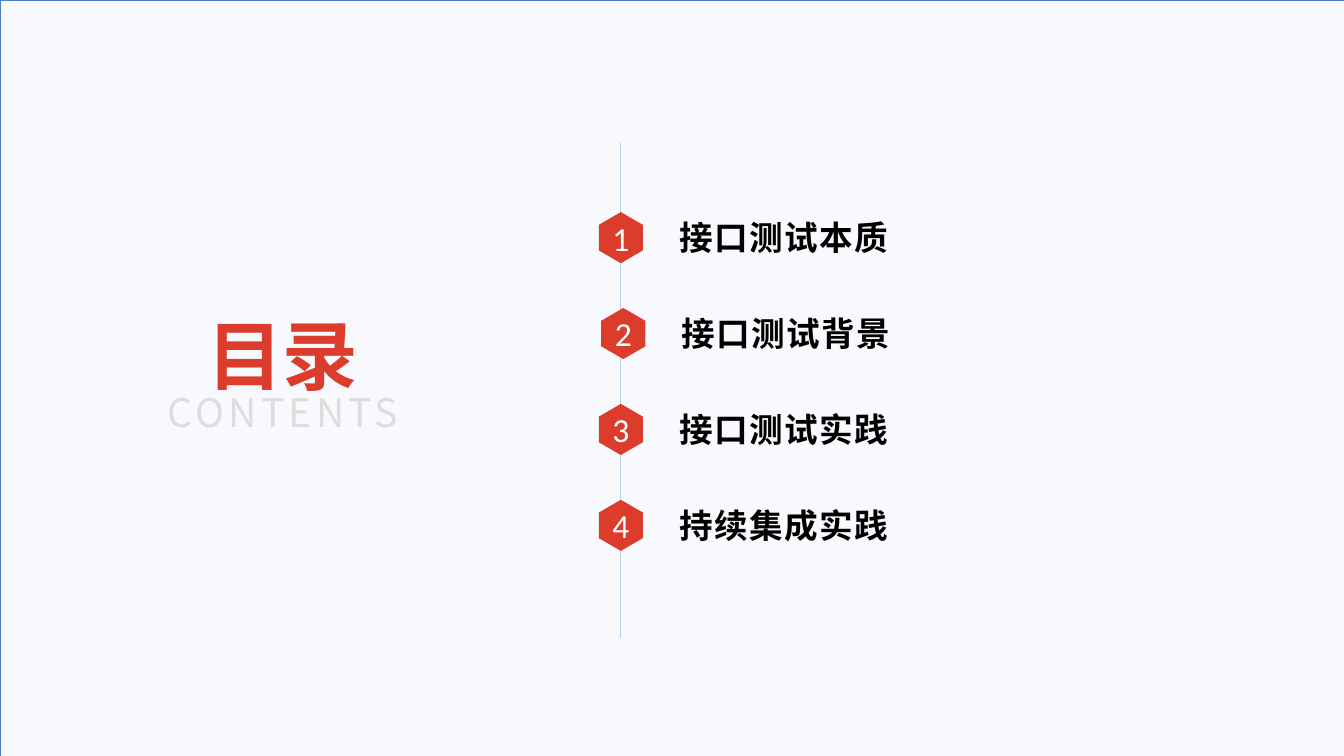
import pptx
import pptx.util
from lxml import etree
from pptx.dml.color import RGBColor
from pptx.enum.shapes import MSO_CONNECTOR, MSO_SHAPE
from pptx.enum.text import MSO_ANCHOR, MSO_AUTO_SIZE, PP_ALIGN
from pptx.oxml.ns import qn

Pt = pptx.util.Pt
WIDTH, HEIGHT = 1920, 1080
HAN = "Noto Sans CJK SC"
COLORS = {
    "paper": "F7F9FD", "edge": "4B7EBC", "rail": "B9CDE5", "red": "DC3C2B",
    "gray": "DDDDDD", "black": "000000", "white": "FFFFFF",
}
TOPICS = ["接口测试本质", "接口测试背景", "接口测试实践", "持续集成实践"]


def color(name):
    return RGBColor.from_string(COLORS[name])


def place(shape, left, top, width, height):
    shape.left, shape.top = Pt(left), Pt(top)
    shape.width, shape.height = Pt(width), Pt(height)


def write(shape, text, size, face, ink, bold=False, gap=0,
          align=PP_ALIGN.CENTER, wrap=False, inset=(0, 0, 0, 0)):
    """Fill a shape with one paragraph; gap is the letter spacing in points."""
    frame = shape.text_frame
    frame.auto_size = MSO_AUTO_SIZE.NONE
    frame.word_wrap = wrap
    frame.vertical_anchor = MSO_ANCHOR.MIDDLE
    (frame.margin_left, frame.margin_top,
     frame.margin_right, frame.margin_bottom) = map(Pt, inset)
    para = frame.paragraphs[0]
    para.text = text
    para.alignment = align
    font = para.font
    font.size, font.name, font.bold = Pt(size), face, bold
    font.color.rgb = color(ink)
    props = para._p.get_or_add_pPr().get_or_add_defRPr()
    props.set("spc", str(gap * 100))
    east = etree.Element(qn("a:ea"), typeface=HAN)
    props.find(qn("a:latin")).addnext(east)


def backdrop(slide):
    """Add the tinted, outlined page behind everything else."""
    page = slide.shapes.add_shape(
        MSO_SHAPE.RECTANGLE, 0, 0, Pt(WIDTH), Pt(HEIGHT))
    page.shadow.inherit = False
    page.fill.solid()
    page.fill.fore_color.rgb = color("paper")
    page.line.color.rgb = color("edge")
    page.line.width = Pt(0.75)
    slide.shapes._spTree.insert(2, page._element)


def heading(slide, left, top, width, height):
    title = slide.shapes.title
    place(title, left, top, width, height)
    write(title, "目录", 108, HAN, "red", bold=True)
    label = slide.shapes.add_textbox(0, 0, 0, 0)
    place(label, left, top + 83, width, height)
    write(label, "CONTENTS", 56, HAN, "gray", gap=6)


def rail(slide, left, top, height):
    line = slide.shapes.add_connector(
        MSO_CONNECTOR.STRAIGHT, Pt(left), Pt(top), Pt(left), Pt(top + height))
    line.line.color.rgb = color("rail")
    line.line.width = Pt(2)
    etree.SubElement(line._element.spPr, qn("a:effectLst"))


def badge(slide, left, top, width, height, text):
    """Draw a numbered hexagon standing on its point."""
    mid, right = left + width / 2, left + width
    high, low = top + height / 4, top + height * 3 / 4
    pen = slide.shapes.build_freeform(Pt(mid), Pt(top))
    pen.add_line_segments([
        (Pt(x), Pt(y)) for x, y in [
            (right, high), (right, low), (mid, top + height),
            (left, low), (left, high)]])
    shape = pen.convert_to_shape()
    shape.shadow.inherit = False
    shape.fill.solid()
    shape.fill.fore_color.rgb = color("red")
    shape.line.fill.background()
    write(shape, text, 48, "Calibri", "white")


def entry(slide, left, top, number, topic):
    badge(slide, left, top, 63, 73, str(number))
    box = slide.shapes.add_textbox(0, 0, 0, 0)
    place(box, left + 87, top - 7, 734, 85)
    write(box, topic, 48, "Arial", "black", bold=True, gap=2,
          align=PP_ALIGN.LEFT, wrap=True, inset=(28, 3.6, 7.2, 3.6))


def agenda(slide, left, top, pitch):
    rail(slide, left + 31, top - 98.5, 707)
    for i, topic in enumerate(TOPICS):
        nudge = 3.5 if i == 1 else 0
        entry(slide, left + nudge, top + i * pitch, i + 1, topic)


def main():
    deck = pptx.Presentation()
    deck.slide_width, deck.slide_height = Pt(WIDTH), Pt(HEIGHT)
    slide = deck.slides.add_slide(deck.slide_layouts.get_by_name("Title Only"))
    backdrop(slide)
    heading(slide, 265, 444, 278, 124)
    agenda(slide, 855.4, 303, 137)
    deck.save("out.pptx")


if __name__ == "__main__":
    main()
